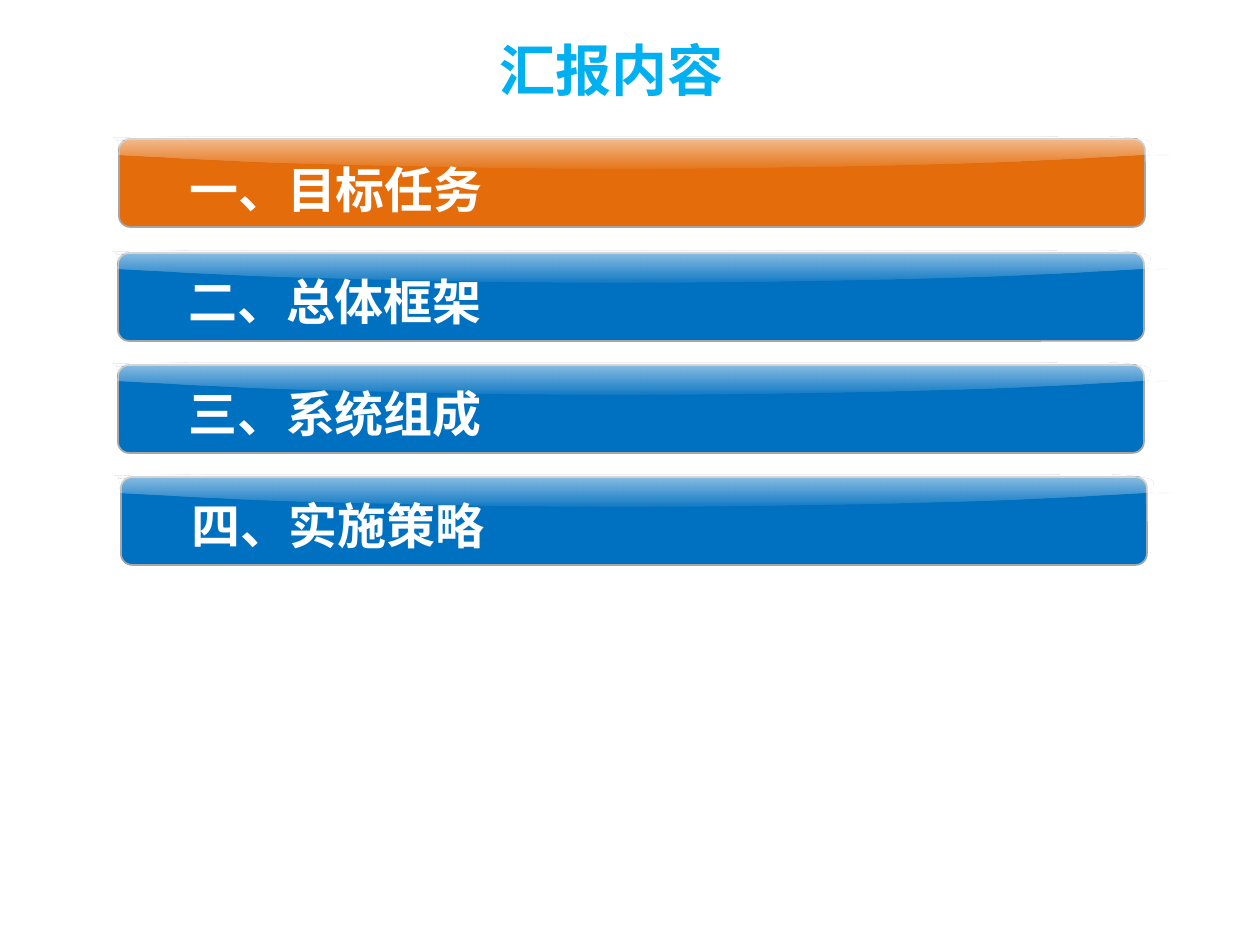
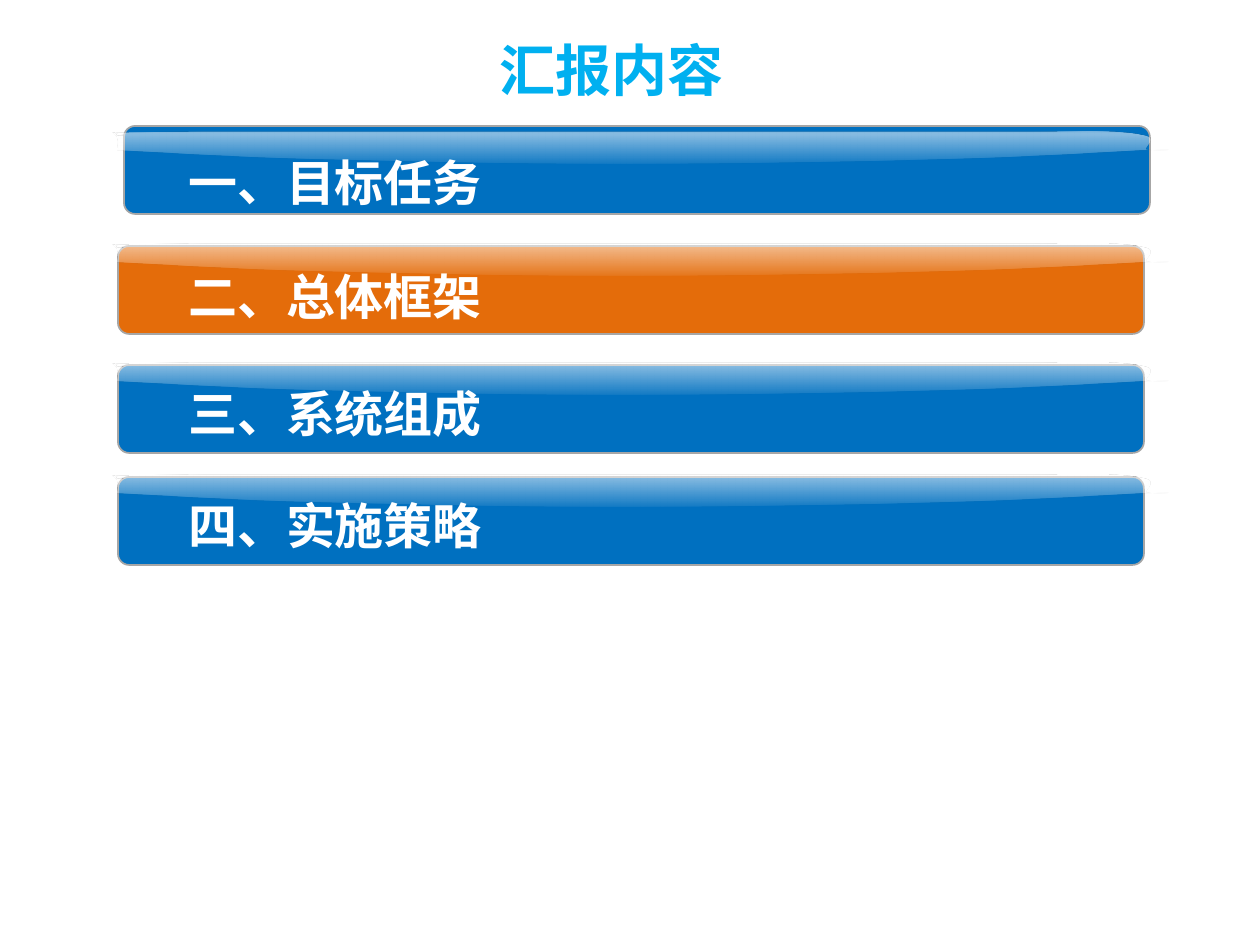
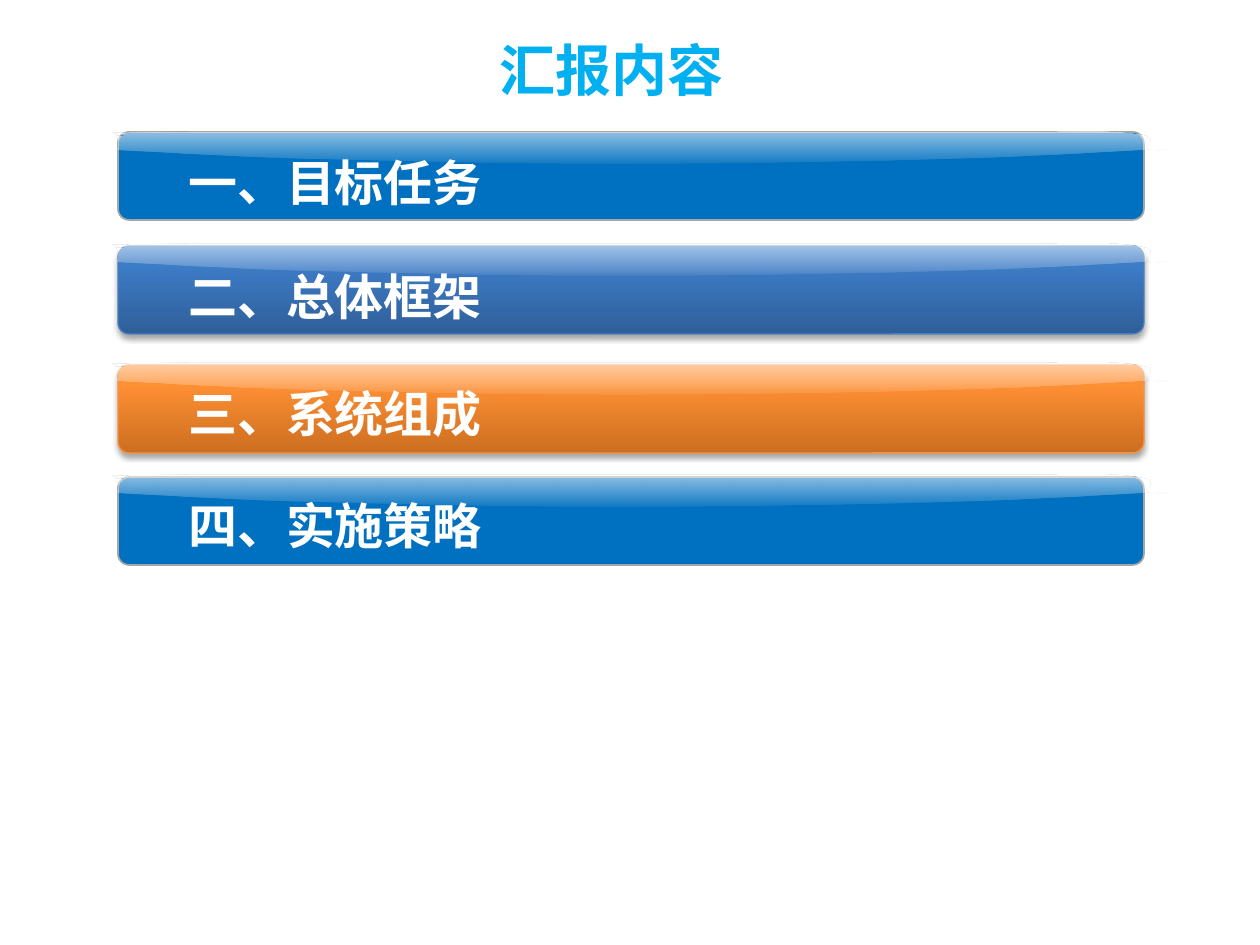
"""Build three agenda slides, each highlighting one section bar."""
from itertools import chain

from lxml import etree
from pptx import Presentation, util as u
from pptx.dml.color import RGBColor
from pptx.enum import shapes, text
from pptx.oxml.ns import qn

PX = 7257.6
FONT = "Noto Sans CJK SC"
WHITE, TITLE_BLUE = "FFFFFF", "00B0F0"
TITLE = "汇报内容"
TITLE_AREA = (45, 33, 1134, 73)
GOALS, FRAMEWORK, SYSTEMS, STRATEGY = "一、目标任务", "二、总体框架", "三、系统组成", "四、实施策略"

BAR_SIZE = (1026, 88)
LABEL_SIZE = (973, 79)
LABEL_INDENT = 54

STYLES = {
    "blue": {"fill": "0070C0", "line": "A6A6A6", "width": 1},
    "orange": {"fill": "E46C0A", "line": "A6A6A6", "width": 1},
    "raised blue": {"stops": [(0, "2F5F99", 100), (80, "3D7CC7", 100), (100, "3A7CCB", 100)],
                    "line": "4B7EBC", "width": 0.75},
    "raised orange": {"stops": [(0, "CC6E20", 100), (80, "FF9034", 100), (100, "FF9136", 100)],
                      "line": "F69240", "width": 0.75},
}
GLOSS_STOPS = [(0, WHITE, 45), (13, WHITE, 53), (98, WHITE, 7)]
GLOSS_START = (-1, 20)
GLOSS_CURVES = [
    [(162, 29), (206, 29), (304, 31)],
    [(420, 34), (549, 34), (668, 32)],
    [(780, 30), (871, 29), (1022, 20)],
    [(1082, 19), (1027, 21), (1027, 19)],
    [(1027, 16), (1040, 7), (1022, 5)],
    [(997, 0), (963, 2), (914, 2)],
    [(87, 2)],
    [(-64, 3), (18, 3), (4, 6)],
    [(-10, 6), (-1, 2), (-2, 3)],
    [(-2, 5), (0, 10), (0, 12)],
    [(0, 15), (-1, 18), (-1, 20)],
]

# Each row: section, style, bar left, bar top, content left, gloss top, label top.
THIRD = (118, 365, 118, 361, 373)
FOURTH = (118, 477, 118, 473, 485)
SLIDES = [
    [(GOALS, "orange", 119, 139, 119, 135, 149),
     (FRAMEWORK, "blue", 118, 253, 118, 249, 261),
     (SYSTEMS, "blue", *THIRD),
     (STRATEGY, "blue", 121, 477, 121, 473, 485)],
    [(FRAMEWORK, "orange", 118, 246, 118, 242, 256),
     (GOALS, "blue", 124, 126, 118, 130, 142),
     (SYSTEMS, "blue", *THIRD),
     (STRATEGY, "blue", *FOURTH)],
    [(FRAMEWORK, "raised blue", 118, 246, 118, 242, 256),
     (GOALS, "blue", 118, 132, 118, 130, 142),
     (SYSTEMS, "raised orange", *THIRD),
     (STRATEGY, "blue", *FOURTH)],
]


def px(*values):
    return [u.Emu(round(value * PX)) for value in values]


def color(value):
    return RGBColor.from_string(value)


def write(box, words, size, shade, align):
    para = box.text_frame.paragraphs[0]
    para.text = words
    para.alignment = align
    font = para.runs[0].font
    font.size, font.bold, font.name = u.Pt(size), True, FONT
    font.color.rgb = color(shade)
    etree.SubElement(para.runs[0]._r.rPr, qn("a:ea"), typeface=FONT)


def fill_gradient(shape, stops, angle):
    shape.fill.gradient()
    shape.fill.gradient_angle = angle
    stop_list = shape._element.spPr.find(qn("a:gradFill")).find(qn("a:gsLst"))
    for stop in list(stop_list):
        stop_list.remove(stop)
    for position, shade, opacity in stops:
        stop = etree.SubElement(stop_list, qn("a:gs"), pos=str(position * 1000))
        tint = etree.SubElement(stop, qn("a:srgbClr"), val=shade)
        if opacity < 100:
            etree.SubElement(tint, qn("a:alpha"), val=str(opacity * 1000))


def add_shadow(shape):
    effects = shape._element.spPr.find(qn("a:effectLst"))
    shadow = etree.SubElement(effects, qn("a:outerShdw"), blurRad=str(u.Pt(3.1)),
                              dist=str(u.Pt(1.8)), dir="5400000", rotWithShape="0")
    tint = etree.SubElement(shadow, qn("a:srgbClr"), val="000000")
    etree.SubElement(tint, qn("a:alpha"), val="35000")


def bend(shape, curves):
    """Turn each run of three line segments into one cubic curve."""
    lines = iter(list(shape._element.iter(qn("a:lnTo"))))
    for curve in curves:
        segment = [next(lines) for _ in curve]
        if len(segment) == 3:
            cubic = etree.Element(qn("a:cubicBezTo"))
            segment[0].addprevious(cubic)
            for line in segment:
                cubic.append(line[0])
                line.getparent().remove(line)


def add_bar(group, style, left, top):
    bar = group.shapes.add_shape(shapes.MSO_SHAPE.ROUNDED_RECTANGLE, *px(left, top, *BAR_SIZE))
    bar.adjustments[0] = 0.127
    bar.shadow.inherit = False
    if "stops" in style:
        fill_gradient(bar, style["stops"], 90)
        add_shadow(bar)
    else:
        bar.fill.solid()
        bar.fill.fore_color.rgb = color(style["fill"])
    bar.line.color.rgb = color(style["line"])
    bar.line.width = u.Pt(style["width"])


def add_gloss(group, left, top):
    points = [px(left + x, top + y) for x, y in chain([GLOSS_START], *GLOSS_CURVES)]
    builder = group.shapes.build_freeform(*points[0])
    builder.add_line_segments(points[1:], close=True)
    gloss = builder.convert_to_shape()
    bend(gloss, GLOSS_CURVES)
    gloss.shadow.inherit = False
    fill_gradient(gloss, GLOSS_STOPS, 270)
    gloss.line.fill.background()


def add_label(group, words, left, top):
    label = group.shapes.add_shape(shapes.MSO_SHAPE.ROUNDED_RECTANGLE, *px(left, top, *LABEL_SIZE))
    label.shadow.inherit = False
    label.fill.background()
    label.line.fill.background()
    frame = label.text_frame
    frame.vertical_anchor = text.MSO_ANCHOR.TOP
    frame.auto_size = text.MSO_AUTO_SIZE.SHAPE_TO_FIT_TEXT
    write(label, words, 28, WHITE, text.PP_ALIGN.LEFT)


def add_title(page):
    box = page.shapes.add_textbox(*px(*TITLE_AREA))
    box.text_frame.word_wrap = True
    box.text_frame.vertical_anchor = text.MSO_ANCHOR.MIDDLE
    write(box, TITLE, 32, TITLE_BLUE, text.PP_ALIGN.CENTER)


def main():
    deck = Presentation()
    deck.slide_width, deck.slide_height = px(1260, 945)
    for rows in SLIDES:
        page = deck.slides.add_slide(deck.slide_layouts[6])
        add_title(page)
        for words, style, bar_left, bar_top, left, gloss_top, label_top in rows:
            group = page.shapes.add_group_shape()
            add_bar(group, STYLES[style], bar_left, bar_top)
            add_gloss(group, left, gloss_top)
            add_label(group, words, left + LABEL_INDENT, label_top)
    deck.save("out.pptx")


if __name__ == "__main__":
    main()
